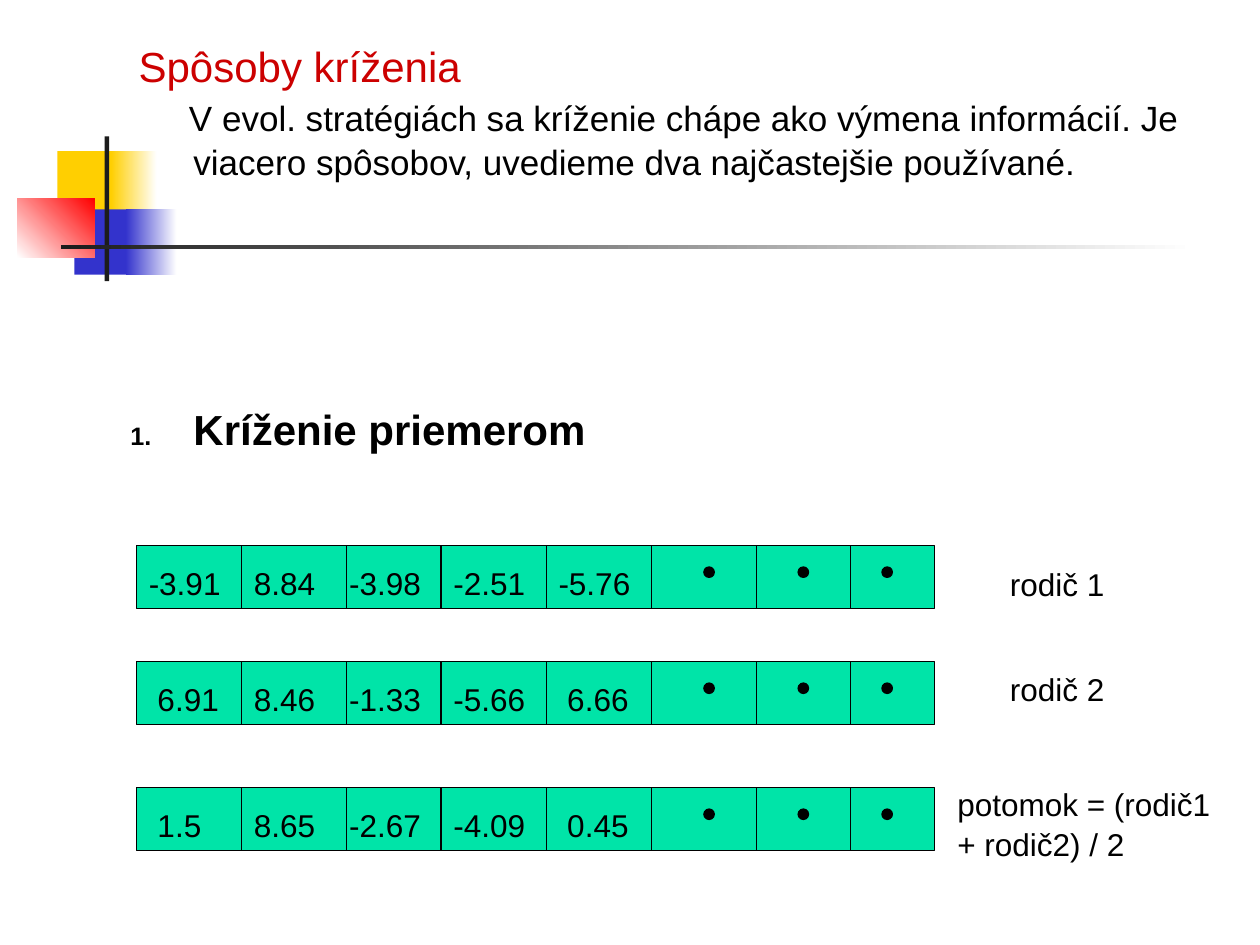
import dataclasses
import itertools

import lxml.etree
import pptx
import pptx.dml.color
import pptx.enum.shapes
import pptx.enum.text
import pptx.oxml
import pptx.oxml.ns
import pptx.util

Cm, Pt = pptx.util.Cm, pptx.util.Pt
SHAPE = pptx.enum.shapes.MSO_SHAPE


@dataclasses.dataclass(frozen=True)
class Theme:
    font: str = "Arial"
    title_size: int = 24
    body_size: int = 20
    label_size: int = 18
    line_width: float = 0.75
    line_spacing: float = 1.05
    black: str = "000000"
    white: str = "FFFFFF"
    title: str = "CC0000"
    cell: str = "00E4A8"
    yellow: str = "FFCF01"
    blue: str = "3333CC"
    red: str = "FF0000"
    bar: str = "1C1C1C"


def rgb(value):
    return pptx.dml.color.RGBColor.from_string(value)


def write(p, text, *, theme, size, color=None, bold=False, before=0, left=0, first=0):
    """Fill a paragraph; left and first are its margin and first-line indent in cm."""
    p.alignment = pptx.enum.text.PP_ALIGN.LEFT
    p.line_spacing = theme.line_spacing
    p.space_before = Pt(before)
    props = p._p.get_or_add_pPr()
    props.set("marL", str(Cm(left)))
    props.set("indent", str(Cm(first)))
    r = p.add_run()
    r.text = text
    r.font.name = theme.font
    r.font.size = Pt(size)
    r.font.bold = bold
    r.font.color.rgb = rgb(color or theme.black)


def number(p, color, percent):
    """Turn a paragraph into an automatically numbered item."""
    props = p._p.get_or_add_pPr()
    qn = pptx.oxml.ns.qn
    bullet_color = lxml.etree.SubElement(props, qn("a:buClr"))
    lxml.etree.SubElement(bullet_color, qn("a:srgbClr"), val=color)
    lxml.etree.SubElement(props, qn("a:buSzPct"), val=str(percent * 1000))
    lxml.etree.SubElement(props, qn("a:buAutoNum"), type="arabicPeriod")


class SlideBuilder:
    def __init__(self, prs, theme):
        self.theme = theme
        self.s = prs.slides.add_slide(prs.slide_layouts[5])

    def frame(self, sp):
        tf = sp.text_frame
        tf.word_wrap = True
        tf.auto_size = pptx.enum.text.MSO_AUTO_SIZE.NONE
        tf.vertical_anchor = pptx.enum.text.MSO_ANCHOR.TOP
        return tf

    def title(self, text, x, y, w, h):
        sp = self.s.shapes.title
        sp.left, sp.top, sp.width, sp.height = Cm(x), Cm(y), Cm(w), Cm(h)
        write(self.frame(sp).paragraphs[0], text, theme=self.theme,
              size=self.theme.title_size, color=self.theme.title)

    def text_box(self, x, y, w, h, parent=None):
        shapes = (parent or self.s).shapes
        return self.frame(shapes.add_textbox(Cm(x), Cm(y), Cm(w), Cm(h)))

    def label(self, text, x, y, w, h=1.02, parent=None):
        tf = self.text_box(x, y, w, h, parent)
        write(tf.paragraphs[0], text, theme=self.theme, size=self.theme.label_size)

    def shape(self, kind, x, y, w, h, fill, outline=False, parent=None):
        sp = (parent or self.s).shapes.add_shape(kind, Cm(x), Cm(y), Cm(w), Cm(h))
        sp.shadow.inherit = False
        sp.fill.solid()
        sp.fill.fore_color.rgb = rgb(fill)
        if outline:
            sp.line.color.rgb = rgb(self.theme.black)
            sp.line.width = Pt(self.theme.line_width)
        else:
            sp.line.fill.background()
        return sp

    def fade(self, x, y, w, h, start, end, angle=0):
        sp = self.shape(SHAPE.RECTANGLE, x, y, w, h, start)
        sp.fill.gradient()
        sp.fill.gradient_angle = angle
        for stop, color, position in zip(sp.fill.gradient_stops, (start, end), (0, 1)):
            stop.color.rgb = rgb(color)
            stop.position = position

    def divider(self, x, y, h, parent):
        line = parent.shapes.add_connector(
            pptx.enum.shapes.MSO_CONNECTOR.STRAIGHT, Cm(x), Cm(y), Cm(x), Cm(y + h))
        line.line.color.rgb = rgb(self.theme.black)
        line.line.width = Pt(self.theme.line_width)
        lxml.etree.SubElement(line._element.spPr, pptx.oxml.ns.qn("a:effectLst"))

    def chromosome(self, values, y, edges, height=1.27):
        """Draw a row of genes: a value in the first cells, a dot in the rest."""
        group = self.s.shapes.add_group_shape()
        self.shape(SHAPE.RECTANGLE, edges[0], y, edges[-1] - edges[0], height,
                   self.theme.cell, outline=True, parent=group)
        for x in edges[1:-1]:
            self.divider(x, y, height, group)
        for column, value in enumerate(values):
            shift = -0.2 if column == 2 else 0
            self.label(value, edges[column] + shift, y + 0.21, 2.33, parent=group)
        for right in edges[len(values) + 1:]:
            self.shape(SHAPE.OVAL, right - 1.06, y + 0.43, 0.21, 0.21,
                       self.theme.black, outline=True, parent=group)

    def decoration(self):
        t = self.theme
        self.shape(SHAPE.RECTANGLE, 1.16, 3.05, 1.22, 1.32, t.yellow)
        self.fade(2.24, 3.05, 0.92, 1.32, t.yellow, t.white)
        self.shape(SHAPE.RECTANGLE, 1.5, 4.22, 1.17, 1.32, t.blue)
        self.fade(2.54, 4.22, 1.02, 1.32, t.blue, t.white)
        self.fade(0.35, 4.01, 1.56, 1.18, t.white, t.red, angle=45)
        self.shape(SHAPE.RECTANGLE, 2.11, 2.75, 0.09, 2.92, t.bar)
        self.fade(1.23, 4.94, 22.86, 0.09, t.bar, t.white)


def main():
    theme = Theme()
    prs = pptx.Presentation()
    prs.slide_width, prs.slide_height = Cm(25.4), Cm(19.05)
    slide = SlideBuilder(prs, theme)
    slide.decoration()
    slide.title("Spôsoby kríženia", 2.54, 0.64, 16.3, 1.27)

    tf = slide.text_box(2.38, 1.78, 22.43, 13.72)
    write(tf.paragraphs[0],
          "V evol. stratégiách sa kríženie chápe ako výmena informácií. "
          "Je viacero spôsobov, uvedieme dva najčastejšie používané.",
          theme=theme, size=theme.body_size, left=1.27, first=-0.09, before=12.5)
    heading = tf.add_paragraph()
    write(heading, "Kríženie priemerom", theme=theme, size=theme.title_size,
          bold=True, before=125, left=1.27, first=-1.27)
    number(heading, theme.black, 60)

    widths = [2.12, 2.12, 1.9, 2.12, 2.12, 2.12, 1.9, 1.69]
    edges = list(itertools.accumulate(widths, initial=2.75))
    rows = [
        (11, ["-3.91", "8.84", "-3.98", "-2.51", "-5.76"]),
        (13.34, [" 6.91", "8.46", "-1.33", "-5.66", " 6.66"]),
        (15.88, [" 1.5", "8.65", "-2.67", "-4.09", " 0.45"]),
    ]
    for y, values in rows:
        slide.chromosome(values, y, edges)

    slide.label("rodič 1", 20.11, 11.22, 3.81)
    slide.label("rodič 2", 20.11, 13.34, 3.81)
    slide.label("potomok = (rodič1 + rodič2) / 2", 19.05, 15.66, 5.72, 1.78)
    prs.save("out.pptx")


if __name__ == "__main__":
    main()
